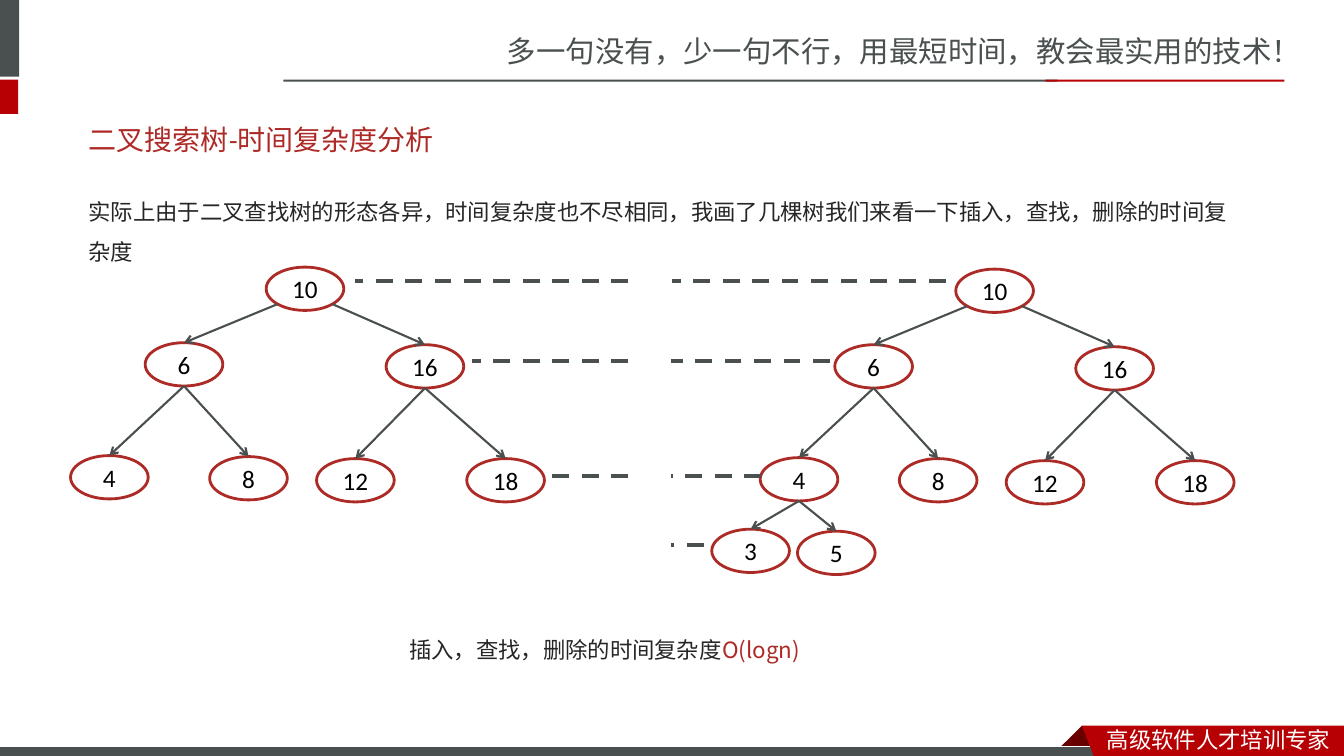
from dataclasses import dataclass
from math import sqrt
from typing import Optional

from lxml import etree
from pptx import Presentation
from pptx import util as u
from pptx.dml.color import RGBColor
from pptx.enum import dml, shapes, text
from pptx.oxml import ns


@dataclass(frozen=True)
class Theme:
    slate: str = "49504F"
    crimson: str = "B60004"
    maroon: str = "680000"
    title_red: str = "AD2A26"
    red: str = "AD2B26"
    ink: str = "262626"
    black: str = "000000"
    white: str = "FFFFFF"
    latin: str = "Calibri"
    sans_sc: str = "Noto Sans CJK SC"
    sans_jp: str = "Noto Sans CJK JP"
    slogan_size: float = 21
    title_size: float = 20
    node_size: float = 18
    body_size: float = 16


@dataclass(frozen=True)
class Node:
    label: str
    left: float
    top: float
    parent: Optional[str] = None


@dataclass(frozen=True)
class Bar:
    left: float
    top: float
    width: float
    height: float
    color: str
    outline: Optional[str] = None


@dataclass(frozen=True)
class Level:
    start: float
    end: float
    y: float


THEME = Theme()
NODE_WIDTH, NODE_HEIGHT = 0.77, 0.43
TREE_SHIFT, TREE_DROP = 6.84, 0.02

BALANCED_TREE = [
    Node("10", 2.64, 2.65),
    Node("6", 1.44, 3.40, "10"),
    Node("16", 3.83, 3.42, "10"),
    Node("4", 0.70, 4.52, "6"),
    Node("8", 2.08, 4.53, "6"),
    Node("12", 3.14, 4.55, "16"),
    Node("18", 4.63, 4.55, "16"),
]
DEEPER_TREE = [
    Node(node.label, node.left + TREE_SHIFT, node.top + TREE_DROP, node.parent)
    for node in BALANCED_TREE
] + [Node("3", 7.06, 5.25, "4"), Node("5", 7.91, 5.27, "4")]

LEVELS = [
    Level(6.23, 3.52, 2.79), Level(9.38, 6.67, 2.79),
    Level(6.23, 4.68, 3.58), Level(8.23, 6.66, 3.58),
    Level(6.23, 5.46, 4.72), Level(7.55, 6.66, 4.72),
    Level(6.98, 6.66, 5.41),
]
HEADER_BARS = [
    Bar(-0.06, 0, 0.25, 0.76, THEME.slate),
    Bar(-0.06, 0.79, 0.24, 0.34, THEME.crimson),
    Bar(2.81, 0.79, 7.68, 0.02, THEME.slate),
    Bar(10.37, 0.79, 2.37, 0.02, THEME.crimson),
]
FOOTER_BAR = Bar(-0.01, 7.41, 11, 0.12, THEME.slate, THEME.white)
RIBBON_FOLD = [(10.73, 7.2), (10.95, 7.42), (10.94, 7.43), (10.52, 7.43), (10.51, 7.42)]
RIBBON = [(10.73, 7.2), (13.33, 7.2), (13.33, 7.54), (10.86, 7.53)]


def rgb(color: str) -> RGBColor:
    return RGBColor.from_string(color)


def write(para, content: str, *, size: float, color: str, font: str,
          east_asian: Optional[str] = None) -> None:
    span = para.add_run()
    span.text = content
    span.font.size = u.Pt(size)
    span.font.color.rgb = rgb(color)
    span.font.name = font
    properties = span.font._element
    etree.SubElement(properties, ns.qn("a:ea")).set("typeface", east_asian or font)


def add_text(page, left: float, top: float, width: float, height: float,
             pieces: list[tuple[str, str]], *, size: float, font: str,
             line_spacing: float = 1.0) -> None:
    box = page.shapes.add_textbox(*map(u.Inches, (left, top, width, height)))
    box.text_frame.word_wrap = True
    para = box.text_frame.paragraphs[0]
    para.line_spacing = line_spacing
    for content, color in pieces:
        write(para, content, size=size, color=color, font=font)


def paint(shape, color: str, outline: Optional[str] = None, width: float = 0.75) -> None:
    shape.shadow.inherit = False
    shape.fill.solid()
    shape.fill.fore_color.rgb = rgb(color)
    if outline:
        shape.line.color.rgb = rgb(outline)
        shape.line.width = u.Pt(width)
    else:
        shape.line.fill.background()


def add_bar(page, bar: Bar) -> None:
    shape = page.shapes.add_shape(
        shapes.MSO_SHAPE.RECTANGLE,
        *map(u.Inches, (bar.left, bar.top, bar.width, bar.height)))
    paint(shape, bar.color, bar.outline)


def add_outline(page, points: list[tuple[float, float]], color: str) -> None:
    corners = [(u.Inches(x), u.Inches(y)) for x, y in points]
    builder = page.shapes.build_freeform(*corners[0])
    builder.add_line_segments(corners[1:], close=True)
    paint(builder.convert_to_shape(), color)


def add_line(page, start: tuple[float, float], end: tuple[float, float], *,
             width: float, dashed: bool = False, arrow: bool = False) -> None:
    line = page.shapes.add_connector(
        shapes.MSO_CONNECTOR.STRAIGHT, *map(u.Inches, (*start, *end)))
    line.line.color.rgb = rgb(THEME.slate)
    line.line.width = u.Pt(width)
    if dashed:
        line.line.dash_style = dml.MSO_LINE.DASH
    properties = line._element.spPr
    if arrow:
        stroke = properties.find(ns.qn("a:ln"))
        etree.SubElement(stroke, ns.qn("a:tailEnd")).set("type", "arrow")
    etree.SubElement(properties, ns.qn("a:effectLst"))


def add_node(page, node: Node) -> None:
    oval = page.shapes.add_shape(
        shapes.MSO_SHAPE.OVAL,
        *map(u.Inches, (node.left, node.top, NODE_WIDTH, NODE_HEIGHT)))
    paint(oval, THEME.white, THEME.red, 2)
    oval.fill.background()
    oval.text_frame.vertical_anchor = text.MSO_ANCHOR.MIDDLE
    para = oval.text_frame.paragraphs[0]
    para.alignment = text.PP_ALIGN.CENTER
    write(para, node.label, size=THEME.node_size, color=THEME.black, font=THEME.latin)


def add_edge(page, parent: Node, child: Node) -> None:
    x, y = parent.left + NODE_WIDTH / 2, parent.top + NODE_HEIGHT
    if parent.parent is None:
        side = 1 if child.left > parent.left else -1
        x += side * NODE_WIDTH / 2 / sqrt(2)
        y -= NODE_HEIGHT / 2 * (1 - 1 / sqrt(2))
    add_line(page, (x, y), (child.left + NODE_WIDTH / 2, child.top), width=1.5, arrow=True)


def add_tree(page, tree: list[Node]) -> None:
    by_label = {node.label: node for node in tree}
    for node in tree:
        add_node(page, node)
        if node.parent:
            add_edge(page, by_label[node.parent], node)


def set_title(page, content: str) -> None:
    title = page.shapes.title
    title.left, title.top, title.width, title.height = map(u.Inches, (0.78, 1.1, 11.7, 0.57))
    title.text_frame.auto_size = text.MSO_AUTO_SIZE.NONE
    title.text_frame.vertical_anchor = text.MSO_ANCHOR.MIDDLE
    para = title.text_frame.paragraphs[0]
    para.alignment = text.PP_ALIGN.LEFT
    write(para, content, size=THEME.title_size, color=THEME.title_red,
          font=THEME.latin, east_asian=THEME.sans_sc)


def main() -> None:
    deck = Presentation()
    deck.slide_width, deck.slide_height = u.Inches(13.33), u.Inches(7.5)
    page = deck.slides.add_slide(deck.slide_layouts[5])
    add_text(page, 4.93, 0.28, 8.41, 0.47,
             [("多一句没有，少一句不行，用最短时间，教会最实用的技术！", THEME.slate)],
             size=THEME.slogan_size, font=THEME.sans_sc)
    for bar in HEADER_BARS:
        add_bar(page, bar)
    add_outline(page, RIBBON_FOLD, THEME.maroon)
    add_bar(page, FOOTER_BAR)
    add_outline(page, RIBBON, THEME.crimson)
    add_text(page, 10.88, 7.15, 2.45, 0.37, [("高级软件人才培训专家", THEME.white)],
             size=THEME.body_size, font=THEME.sans_sc)
    set_title(page, "二叉搜索树-时间复杂度分析")
    add_text(page, 0.78, 1.78, 11.7, 0.96,
             [("实际上由于二叉查找树的形态各异，时间复杂度也不尽相同，"
               "我画了几棵树我们来看一下插入，查找，删除的时间复杂度", THEME.ink)],
             size=THEME.body_size, font=THEME.sans_jp, line_spacing=1.5)
    add_text(page, 3.96, 6.13, 4.46, 0.6,
             [("插入，查找，删除的时间复杂度", THEME.ink), ("O(logn)", THEME.red)],
             size=THEME.body_size, font=THEME.sans_jp, line_spacing=1.5)
    for tree in (BALANCED_TREE, DEEPER_TREE):
        add_tree(page, tree)
    for level in LEVELS:
        add_line(page, (level.start, level.y), (level.end, level.y), width=3, dashed=True)
    deck.save("out.pptx")


if __name__ == "__main__":
    main()
